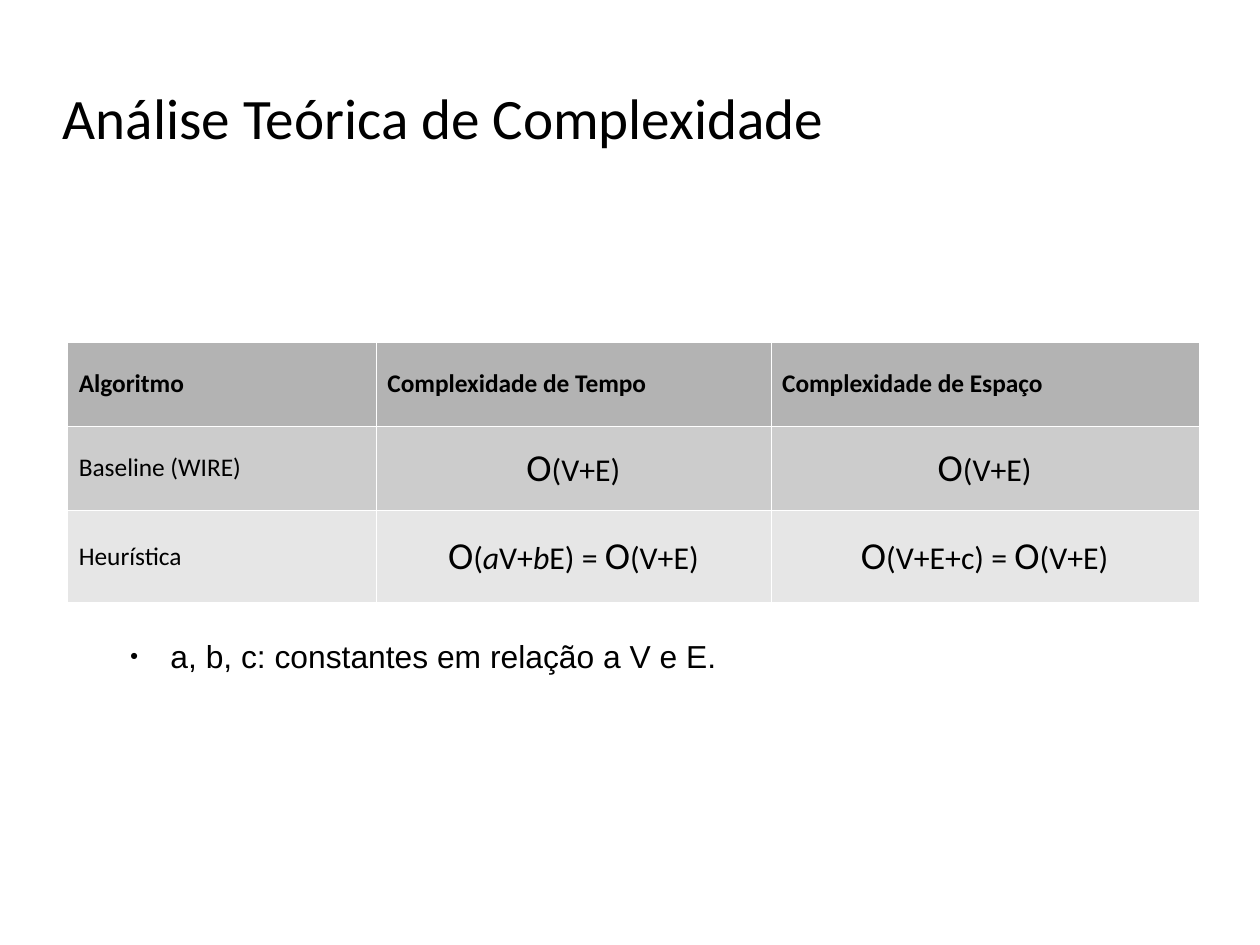
"""Builds a slide that compares the complexity of two algorithms."""
import dataclasses
import itertools

import pptx
import pptx.dml.color
import pptx.enum.text
import pptx.oxml
import pptx.oxml.ns
import pptx.util

Pt = pptx.util.Pt
Align = pptx.enum.text.PP_ALIGN
Anchor = pptx.enum.text.MSO_ANCHOR


@dataclasses.dataclass(frozen=True)
class Theme:
    ink: str = "000000"
    edge: str = "FFFFFF"
    bands: tuple = ("B3B3B3", "CCCCCC", "E6E6E6")
    main: str = "Calibri"
    plain: str = "Arial"
    title: float = 36
    label: float = 16
    math: float = 20
    order: float = 24
    hair: float = 0.06


def color(code):
    return pptx.dml.color.RGBColor.from_string(code)


def element(tag, body="", **attrs):
    pairs = "".join(f' {key}="{value}"' for key, value in attrs.items())
    space = pptx.oxml.ns.nsdecls("a")
    return pptx.oxml.parse_xml(f"<a:{tag} {space}{pairs}>{body}</a:{tag}>")


def paint(code):
    return f'<a:solidFill><a:srgbClr val="{code}"/></a:solidFill>'


class Page:
    def __init__(self, deck, theme):
        self.theme = theme
        self.slide = deck.slides.add_slide(deck.slide_layouts[6])

    def style(self, font, size, name, bold=False):
        font.size, font.name, font.bold = Pt(size), name, bold
        font.color.rgb = color(self.theme.ink)

    def text(self, words, box, size, name, anchor=Anchor.TOP):
        frame = self.slide.shapes.add_textbox(*map(Pt, box)).text_frame
        frame.word_wrap = True
        frame.vertical_anchor = anchor
        frame.margin_left = frame.margin_right = 0
        frame.margin_top = frame.margin_bottom = 0
        line = frame.paragraphs[0]
        line.text = words
        self.style(line.font, size, name)
        return line

    def bullet(self, words, box):
        line = self.text(words, box, self.theme.math, self.theme.plain)
        line.space_after = Pt(14.1)
        props = line._p.get_or_add_pPr()
        props.set("marL", str(Pt(34)))
        props.set("indent", str(Pt(-25.5)))
        tint = f'<a:srgbClr val="{self.theme.ink}"/>'
        marks = (element("buClr", tint), element("buSzPct", val=45000),
                 element("buFont", typeface=self.theme.plain),
                 element("buChar", char="●"))
        for mark in marks:
            props.insert_element_before(mark, "a:tabLst", "a:defRPr", "a:extLst")

    def math(self, line, words):
        line.alignment = Align.CENTER
        self.style(line.font, self.theme.math, self.theme.main)
        kinds = itertools.groupby(words, lambda sign: (sign == "Ο", sign in "ab"))
        for (order, slant), signs in kinds:
            run = line.add_run()
            run.text = "".join(signs)
            if order:
                run.font.size = Pt(self.theme.order)
            if slant:
                run.font.italic = True

    def edges(self, cell):
        props = cell._tc.get_or_add_tcPr()
        for spot, tag in enumerate(("lnL", "lnR", "lnT", "lnB")):
            line = element(tag, paint(self.theme.edge), w=Pt(self.theme.hair))
            props.insert(spot, line)

    def table(self, rows, spot, widths, heights):
        box = (*spot, sum(widths), sum(heights))
        shape = self.slide.shapes.add_table(len(rows), len(widths), *map(Pt, box))
        grid = shape.table
        grid.first_row = grid.horz_banding = False
        for col, width in zip(grid.columns, widths):
            col.width = Pt(width)
        for r, (row, height) in enumerate(zip(rows, heights)):
            grid.rows[r].height = Pt(height)
            for c, words in enumerate(row):
                cell = grid.cell(r, c)
                cell.vertical_anchor = Anchor.MIDDLE
                cell.fill.solid()
                cell.fill.fore_color.rgb = color(self.theme.bands[r])
                self.edges(cell)
                line = cell.text_frame.paragraphs[0]
                if r and c:
                    self.math(line, words)
                else:
                    line.text = words
                    self.style(line.font, self.theme.label, self.theme.main, r == 0)


def main():
    deck = pptx.Presentation()
    deck.slide_width, deck.slide_height = Pt(793.7), Pt(595.28)
    theme = Theme()
    page = Page(deck, theme)
    page.text("Análise Teórica de Complexidade", (39.6, 23.8, 714.2, 99.4),
              theme.title, theme.main, Anchor.MIDDLE)
    rows = (
        ("Algoritmo", "Complexidade de Tempo", "Complexidade de Espaço"),
        ("Baseline (WIRE)", "Ο(V+E)", "Ο(V+E)"),
        ("Heurística", "Ο(aV+bE) = Ο(V+E)", "Ο(V+E+c) = Ο(V+E)"),
    )
    page.table(rows, (42.5, 215.3), (194.4, 248.6, 269.6), (53.1, 53.1, 58))
    page.bullet("a, b, c: constantes em relação a V e E.", (73.4, 401, 402.5, 29.5))
    deck.save("out.pptx")


if __name__ == "__main__":
    main()
